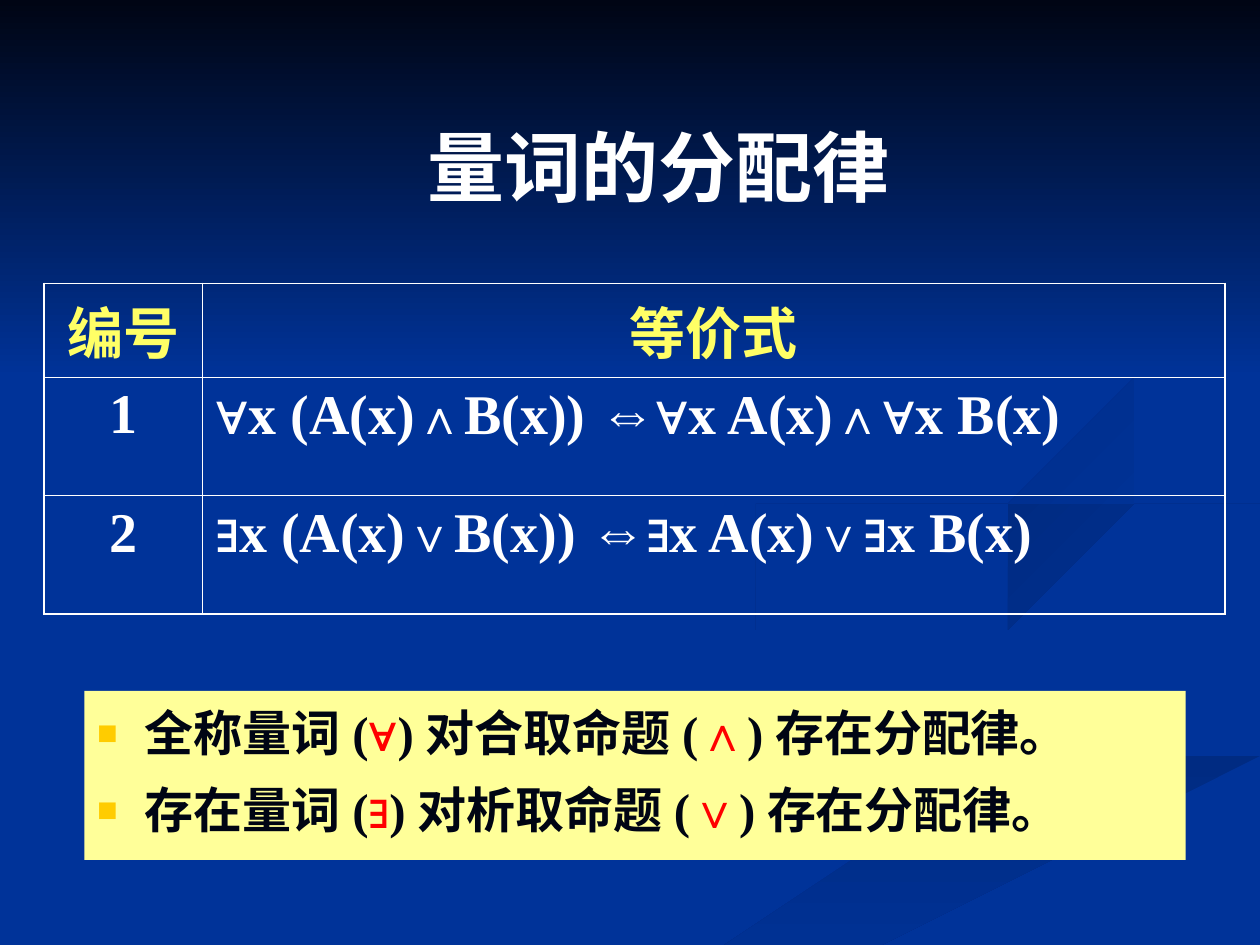
from lxml import etree
from pptx import Presentation
from pptx import util as u
from pptx.dml.color import RGBColor
from pptx.enum import text
from pptx.oxml.ns import qn

COLORS = {
    "blue": "003399", "shade": "002B82", "navy": "000514", "white": "FFFFFF",
    "heading": "FFFF66", "panel": "FFFF99", "bullet": "FFCC00", "symbol": "FF0000",
}
SERIF, SANS = "Times New Roman", "Arial"
WIDTH, HEIGHT = u.Inches(10), u.Inches(7.5)
TITLE_BOX = (0.075, 0.112, 0.835, 0.127)
TABLE_BOX = (0.035, 0.3, 0.937, 0.335)
LIST_BOX = (0.067, 0.731, 0.874, 0.179)

RIBBONS = [
    ("shade", 90, [(5, 7.5), (5.7, 7.5), (7.5, 6.7), (10, 6.1), (10, 5.8), (7.6, 6.5)]),
    ("shade", 45, [(7.8, 4.6), (8.3, 5), (8.1, 4.7), (8.6, 4.4), (10, 4.2), (10, 4), (8.3, 4.3)]),
    ("shade", 45, [(8.8, 3), (8.9, 3.4), (8.2, 3.9), (6.3, 4.2), (5.8, 4.6), (6.2, 5),
                   (6, 4.6), (6.5, 4.4), (8.3, 4), (8.9, 3.6)]),
    ("navy", 90, [(0, 0), (0, 3.08), (10, 3.08), (10, 0)]),
]
LAWS = [("∀", "∧"), ("∃", "∨")]
RULES = [("全称量词(", "∀", ")对合取命题(", "∧"), ("存在量词(", "∃", ")对析取命题(", "∨")]
RULE_END = ")存在分配律。"


def rgb(name):
    """Return a palette colour as RGB."""
    return RGBColor.from_string(COLORS[name])


def scale(box):
    """Turn shares of the slide into left, top, width and height."""
    return [int(share * side) for share, side in zip(box, (WIDTH, HEIGHT) * 2)]


def place(shape, box):
    """Move a shape to its box, in front of the background."""
    shape.left, shape.top, shape.width, shape.height = scale(box)
    shape.element.getparent().append(shape.element)


def set_font(font, size, color, name=SERIF):
    """Format a bold font."""
    font.size, font.name, font.bold = u.Pt(size), name, True
    font.color.rgb = rgb(color)


def draw_background(slide):
    """Draw the blue ground, its swirling ribbons and the dark upper band."""
    slide.background.fill.solid()
    slide.background.fill.fore_color.rgb = rgb("blue")
    for color, angle, points in RIBBONS:
        builder = slide.shapes.build_freeform(*points[0], scale=u.Inches(1))
        builder.add_line_segments(points[1:], close=True)
        ribbon = builder.convert_to_shape()
        ribbon.shadow.inherit = False
        ribbon.line.fill.background()
        ribbon.fill.gradient()
        ribbon.fill.gradient_angle = 360 - angle
        for stop, name in zip(ribbon.fill.gradient_stops, (color, "blue")):
            stop.color.rgb = rgb(name)


def draw_title(slide, box):
    """Fill the title placeholder, centred behind a left indent."""
    title = slide.shapes.title
    place(title, box)
    frame = title.text_frame
    frame.text = "量词的分配律"
    frame.auto_size = text.MSO_AUTO_SIZE.NONE
    frame.vertical_anchor = text.MSO_ANCHOR.MIDDLE
    frame.margin_left = u.Inches(0.7)
    paragraph = frame.paragraphs[0]
    paragraph.alignment = text.PP_ALIGN.CENTER
    set_font(paragraph.font, 44, "white")


def border_cell(cell, outer):
    """Give a cell white borders, thicker on the outer sides."""
    properties = cell._tc.get_or_add_tcPr()
    for index, (side, is_outer) in enumerate(zip("LRTB", outer)):
        line = etree.Element(qn(f"a:ln{side}"), w=str(u.Pt(1.08 if is_outer else 0.45)))
        fill = etree.SubElement(line, qn("a:solidFill"))
        etree.SubElement(fill, qn("a:srgbClr"), val=COLORS["white"])
        properties.insert(index, line)


def draw_table(slide, box):
    """Draw the numbered table of equivalences."""
    rows = [("编号", ["等价式"])]
    for number, (quantifier, operator) in enumerate(LAWS, 1):
        formula = [f"{quantifier}x (A(x)", operator, "B(x)) ", "⇔",
                   f"{quantifier}x A(x)", operator, f"{quantifier}x B(x)"]
        rows.append((str(number), formula))
    table = slide.shapes.add_table(len(rows), 2, *scale(box)).table
    for column, width in zip(table.columns, (1.26, 8.11)):
        column.width = u.Inches(width)
    for row, height in zip(table.rows, (0.64, 0.94, 0.94)):
        row.height = u.Inches(height)
    for r, (label, formula) in enumerate(rows):
        for c, runs in enumerate(([label], formula)):
            cell = table.cell(r, c)
            cell.fill.background()
            border_cell(cell, (c == 0, c == 1, r == 0, r == len(rows) - 1))
            paragraph = cell.text_frame.paragraphs[0]
            if r == 0 or c == 0:
                paragraph.alignment = text.PP_ALIGN.CENTER
            for words in runs:
                run = paragraph.add_run()
                run.text = words
                set_font(run.font, 28 if words in ("∧", "∨") else 32,
                         "white" if r else "heading", SANS if words == "⇔" else SERIF)


def add_bullet(paragraph):
    """Give a paragraph a hanging square bullet."""
    properties = paragraph._p.get_or_add_pPr()
    properties.set("marL", str(u.Inches(0.38)))
    properties.set("indent", str(-u.Inches(0.38)))
    color = etree.SubElement(properties, qn("a:buClr"))
    etree.SubElement(color, qn("a:srgbClr"), val=COLORS["bullet"])
    etree.SubElement(properties, qn("a:buSzPct"), val="70000")
    etree.SubElement(properties, qn("a:buChar"), char="■")


def draw_list(slide, box):
    """Fill the body placeholder with the two rules on a yellow panel."""
    panel = slide.placeholders[1]
    place(panel, box)
    panel.fill.solid()
    panel.fill.fore_color.rgb = rgb("panel")
    frame = panel.text_frame
    frame.auto_size = text.MSO_AUTO_SIZE.NONE
    for index, rule in enumerate(RULES):
        paragraph = frame.add_paragraph() if index else frame.paragraphs[0]
        paragraph.line_spacing = 1.1
        paragraph.space_before = u.Pt(7 if index else 0)
        add_bullet(paragraph)
        for position, words in enumerate(rule + (RULE_END,)):
            run = paragraph.add_run()
            run.text = words
            set_font(run.font, 28, "symbol" if position % 2 else "navy")


def main():
    """Build and save the slide."""
    presentation = Presentation()
    presentation.slide_width, presentation.slide_height = WIDTH, HEIGHT
    slide = presentation.slides.add_slide(presentation.slide_layouts[1])
    draw_background(slide)
    draw_title(slide, TITLE_BOX)
    draw_table(slide, TABLE_BOX)
    draw_list(slide, LIST_BOX)
    presentation.save("out.pptx")


if __name__ == "__main__":
    main()
